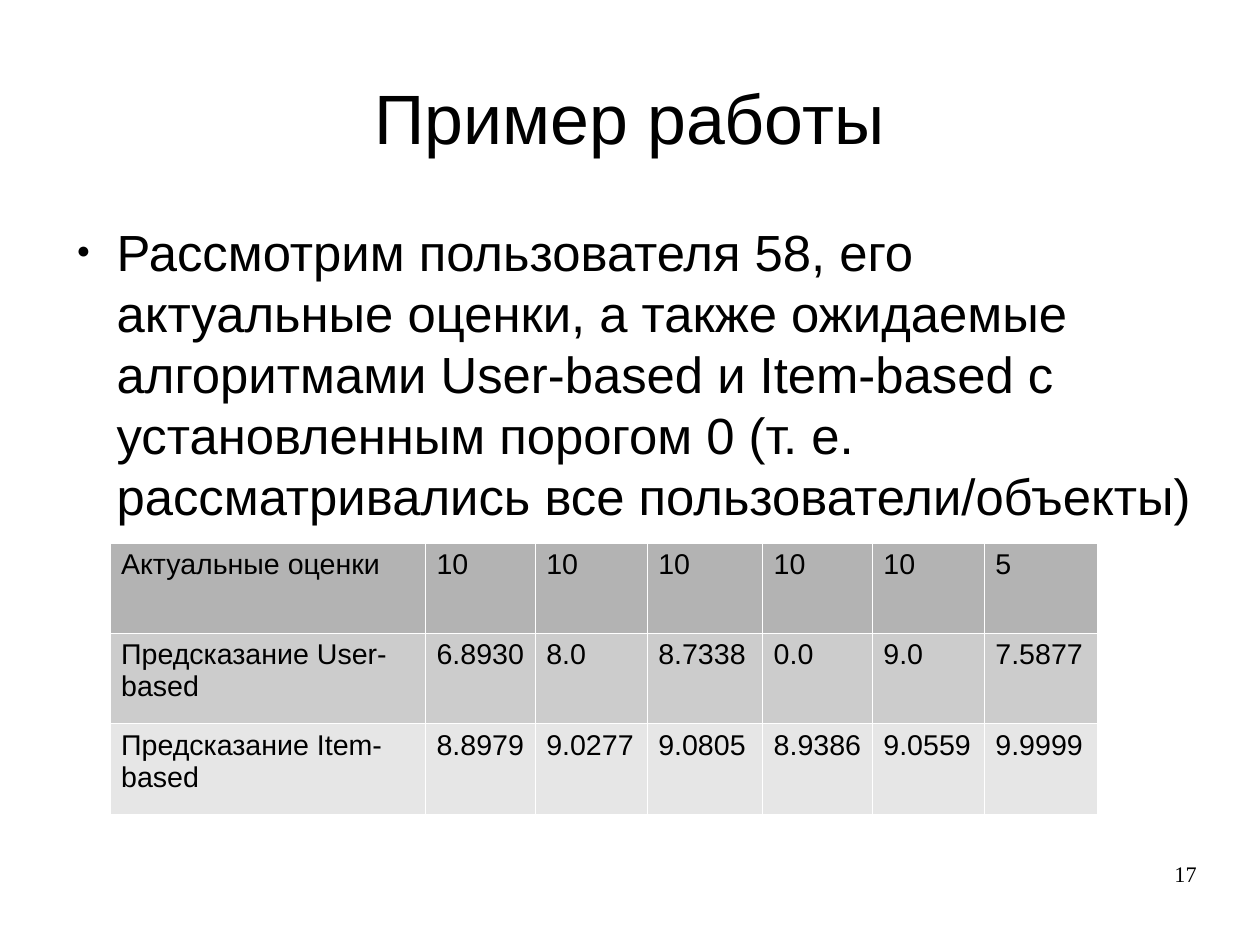
from lxml.etree import SubElement
from pptx import Presentation
from pptx.dml.color import RGBColor
from pptx.enum.text import MSO_ANCHOR, MSO_AUTO_SIZE, PP_ALIGN
from pptx.oxml import parse_xml
from pptx.oxml.ns import nsdecls, qn
from pptx.util import Cm, Inches, Pt

COLORS = {"text": "000000", "border": "FFFFFF"}
ROW_FILLS = ["B3B3B3", "CCCCCC", "E6E6E6"]
MARGIN, CONTENT_WIDTH = 0.55, 9.92


def place(box, left, top, width, height):
    box.left, box.top = Inches(left), Inches(top)
    box.width, box.height = Inches(width), Inches(height)
    frame = box.text_frame
    frame.margin_left = frame.margin_right = frame.margin_top = frame.margin_bottom = 0
    frame.word_wrap = True
    frame.auto_size = MSO_AUTO_SIZE.NONE
    return frame


def write(frame, text, size, font="Arial", align=PP_ALIGN.LEFT):
    frame.text = text
    paragraph = frame.paragraphs[0]
    paragraph.alignment = align
    paragraph.font.size = Pt(size)
    paragraph.font.name = font
    paragraph.font.color.rgb = RGBColor.from_string(COLORS["text"])
    return paragraph


deck = Presentation()
deck.slide_width, deck.slide_height = Cm(28), Cm(21)
slide = deck.slides.add_slide(deck.slide_layouts[1])

# Title
heading = place(slide.shapes.title, MARGIN, 0.33, CONTENT_WIDTH, 1.38)
heading.vertical_anchor = MSO_ANCHOR.MIDDLE
write(heading, "Пример работы", 44, align=PP_ALIGN.CENTER)

# Bulleted description
description = place(slide.placeholders[1], MARGIN, 1.93, CONTENT_WIDTH, 4.79)
bullet_item = write(
    description,
    "Рассмотрим пользователя 58, его актуальные оценки, а также ожидаемые "
    "алгоритмами User-based и Item-based с установленным порогом 0 (т. е. "
    "рассматривались все пользователи/объекты)",
    32,
)
bullet_item.space_before = Pt(14.2)
bullet_props = bullet_item._p.get_or_add_pPr()
bullet_props.set("marL", str(Inches(0.47)))
bullet_props.set("indent", str(Inches(-0.35)))
bullet_color = parse_xml(
    f'<a:buClr {nsdecls("a")}><a:srgbClr val="{COLORS["text"]}"/></a:buClr>')
bullet_size = parse_xml(f'<a:buSzPct {nsdecls("a")} val="45000"/>')
bullet_char = parse_xml(f'<a:buChar {nsdecls("a")} char="●"/>')
spacing = bullet_props.find(qn("a:spcBef"))
for element in (bullet_char, bullet_size, bullet_color):
    spacing.addnext(element)

# Table of actual and predicted ratings
ratings = [
    ["Актуальные оценки", "10", "10", "10", "10", "10", "5"],
    ["Предсказание User-based", "6.8930", "8.0", "8.7338", "0.0", "9.0", "7.5877"],
    ["Предсказание Item-based", "8.8979", "9.0277", "9.0805", "8.9386", "9.0559", "9.9999"],
]
column_widths = [2.76, 0.96, 0.98, 1.01, 0.96, 0.98, 0.99]
row_height = 0.79
table = slide.shapes.add_table(
    len(ratings), len(column_widths), Inches(0.96), Inches(4.75),
    Inches(sum(column_widths)), Inches(row_height * len(ratings)),
).table
for column, width in zip(table.columns, column_widths):
    column.width = Inches(width)
table.first_row = table.horz_banding = False

for row, (values, fill) in enumerate(zip(ratings, ROW_FILLS)):
    table.rows[row].height = Inches(row_height)
    for col, value in enumerate(values):
        cell = table.cell(row, col)
        write(cell.text_frame, value, 18)
        cell.margin_right = Inches(0.09)
        # Borders come before the fill in the cell properties
        cell_props = cell._tc.get_or_add_tcPr()
        for side in ("lnL", "lnR", "lnT", "lnB"):
            border = SubElement(cell_props, qn(f"a:{side}"), w=str(Pt(0.06)))
            solid = SubElement(border, qn("a:solidFill"))
            SubElement(solid, qn("a:srgbClr"), val=COLORS["border"])
        cell.fill.solid()
        cell.fill.fore_color.rgb = RGBColor.from_string(fill)

# Page number
page_number = slide.shapes.add_textbox(0, 0, 0, 0)
write(place(page_number, 7.9, 7.53, 2.57, 0.57), "17", 14,
      font="Times New Roman", align=PP_ALIGN.RIGHT)

deck.save("out.pptx")
